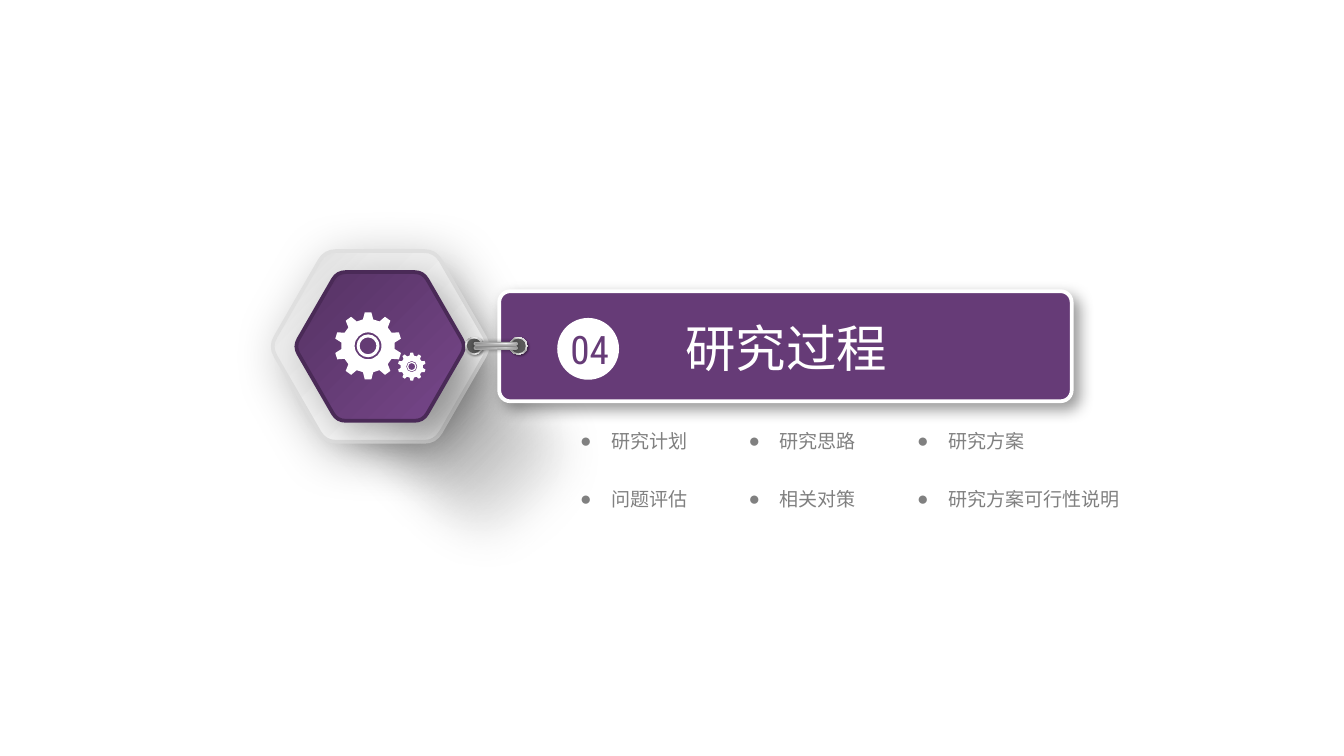
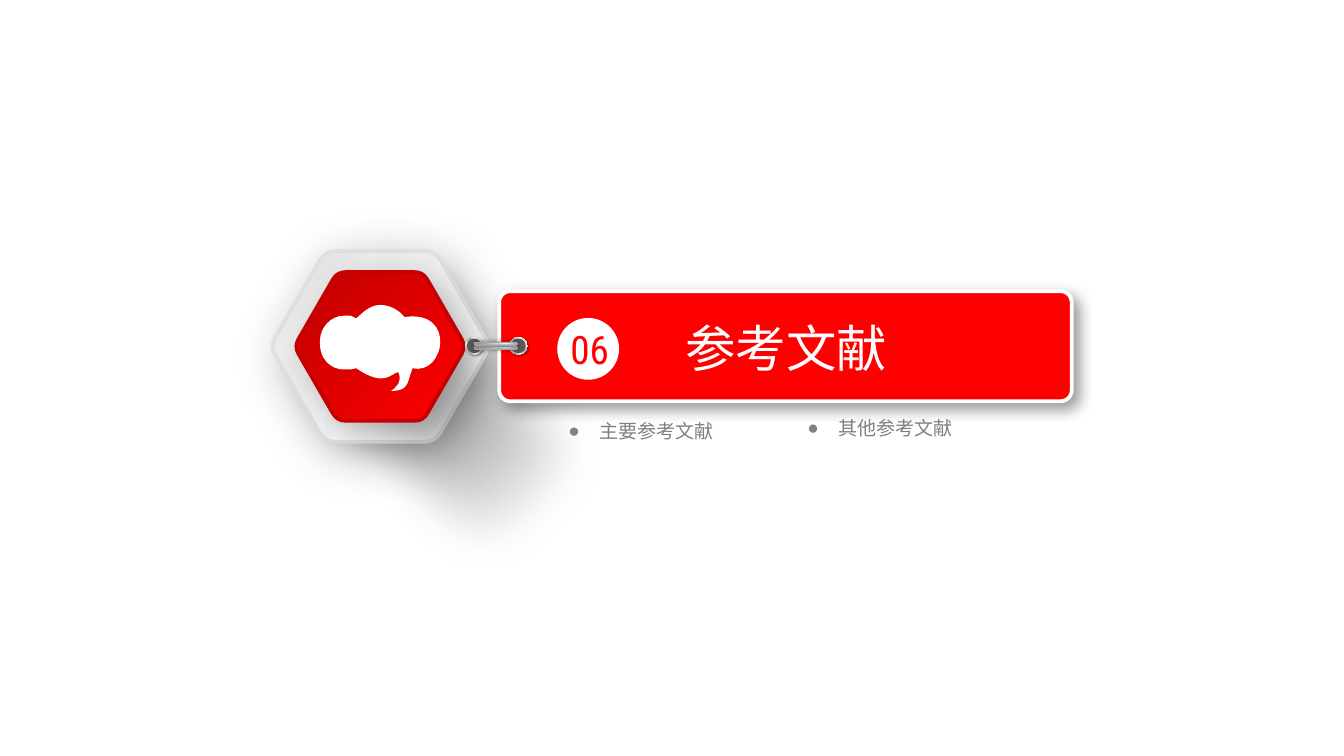
from dataclasses import dataclass
from math import cos, radians, sin

from lxml import etree
from pptx import Presentation
from pptx.dml.color import RGBColor
from pptx.enum import shapes, text
from pptx.oxml import ns
from pptx.util import Pt


@dataclass(frozen=True)
class Theme:
    white: str = "FFFFFF"
    gray: str = "808080"
    hole: str = "595959"
    rim: str = "E0E0E0"
    rod_edge: str = "A6A6A6"
    cjk_font: str = "Noto Sans CJK SC"
    number_font: str = "Roboto Condensed"
    bullet_font: str = "Arial"
    title_size: float = 27
    number_size: float = 21
    item_size: float = 10.2
    # Gradient stops: position in percent, colour, opacity in percent
    cast: tuple = ((0, "000000", 61), (37, "6C6C6C", 50), (100, "D8D8D8", 0))
    plate: tuple = ((0, "FFFFFF", 100), (73, "ECECEC", 100), (100, "D9D9D9", 100))
    ring: tuple = ((0, "FFFFFF", 100), (17, "A6A6A6", 100), (35, "F2F2F2", 100),
                   (55, "A6A6A6", 100), (75, "F2F2F2", 100), (100, "A6A6A6", 100))
    rod: tuple = ((0, "808080", 100), (23, "A6A6A6", 100), (52, "D9D9D9", 100),
                  (74, "FFFFFF", 100), (100, "A6A6A6", 100))


THEME = Theme()

# Each column of items: left, top, texts from top to bottom
SECTIONS = [
    {
        "number": "04", "title": "研究过程", "icon": "gears",
        "accent": "663B77", "edge": "4A2A57",
        "badge": ((0, "77468A", 100), (100, "553363", 100)),
        "columns": [
            (303.8, 226.6, ["研究计划", "问题评估"]),
            (394, 226.6, ["研究思路", "相关对策"]),
            (484.2, 226.6, ["研究方案", "研究方案可行性说明"]),
        ],
    },
    {
        "number": "06", "title": "参考文献", "icon": "cloud",
        "accent": "FF0000", "edge": "C40000",
        "badge": ((0, "FF0000", 100), (100, "C00000", 100)),
        "columns": [
            (297.4, 221, ["主要参考文献"]),
            (425.5, 219.6, ["其他参考文献"]),
        ],
    },
]
ROW_PITCH = 31

HEXAGON_CENTER = (203.6, 185.6)
# Gears: centre x, centre y, outer radius
GEARS = [(197.2, 185.3, 18), (220.6, 196.4, 7.5)]

# An outline is a list of steps: one point for a straight line (and the start),
# or two control points and the end of a curve
CLOUD = [
    [(203.8, 163.4)],
    [(210.2, 163.4), (215.3, 167.8), (216.7, 169.9)],
    [(230.8, 167.8), (236.1, 175.7), (235.9, 183.6)],
    [(235.6, 191.5), (229.6, 199.4), (221, 197.3)],
    [(220.3, 199.4), (219.6, 201.6), (218.9, 203.8)],
    [(218.2, 205.9), (217.4, 209.5), (209.5, 209.5)],
    [(211.7, 208.1), (215.3, 205.2), (213.8, 200.2)],
    [(213.1, 199.4)],
    [(208.8, 200.9), (205.9, 206.6), (193, 198.7)],
    [(190.8, 197.3)],
    [(188.6, 198), (187.2, 198), (185.8, 198)],
    [(184.3, 198)],
    [(177.1, 198), (171.4, 192.2), (171.4, 184.3)],
    [(171.4, 182.9)],
    [(171.4, 175.7), (177.1, 169.2), (184.3, 169.2)],
    [(187.9, 169.2)],
    [(190.8, 170.6)],
    [(193, 169.2), (197.3, 163.4), (203.8, 163.4)],
]


def add_element(parent, tag, **attributes):
    values = {name: str(value) for name, value in attributes.items()}
    return etree.SubElement(parent, ns.qn(tag), values)


def add_color(parent, color, opacity):
    element = add_element(parent, "a:srgbClr", val=color)
    if opacity < 100:
        add_element(element, "a:alpha", val=opacity * 1000)


def style(shape, fill, angle=0, line=None, shadow=None, soft_edge=None):
    """fill: colour or gradient stops; line: (colour, width);
    shadow: (opacity, blur, distance, angle)."""
    if isinstance(fill, str):
        shape.fill.solid()
        shape.fill.fore_color.rgb = RGBColor.from_string(fill)
    else:
        shape.fill.gradient()
        gradient = shape._element.spPr.find(ns.qn("a:gradFill"))
        stops = gradient.find(ns.qn("a:gsLst"))
        for stop in list(stops):
            stops.remove(stop)
        for position, color, opacity in fill:
            add_color(add_element(stops, "a:gs", pos=position * 1000), color, opacity)
        gradient.find(ns.qn("a:lin")).set("ang", str(angle * 60000))
    if line:
        shape.line.color.rgb = RGBColor.from_string(line[0])
        shape.line.width = Pt(line[1])
    else:
        shape.line.fill.background()
    shape.shadow.inherit = False
    effects = shape._element.spPr.find(ns.qn("a:effectLst"))
    if shadow:
        opacity, blur, distance, direction = shadow
        outer = add_element(effects, "a:outerShdw", blurRad=Pt(blur), dist=Pt(distance),
                            dir=direction * 60000, algn="ctr", rotWithShape=0)
        add_color(outer, "000000", opacity)
    if soft_edge:
        add_element(effects, "a:softEdge", rad=Pt(soft_edge))


def add_centered(slide, kind, center, width, height, fill, rounding=None, rotation=0, **look):
    x, y = center
    shape = slide.shapes.add_shape(kind, Pt(x - width / 2), Pt(y - height / 2),
                                   Pt(width), Pt(height))
    if rounding is not None:
        shape.adjustments[0] = rounding
    shape.rotation = rotation
    style(shape, fill, **look)


def bend_curves(shape, steps):
    """Turn the three segments drawn for each curve step into one Bézier curve."""
    lines = shape._element.spPr.iter(ns.qn("a:lnTo"))
    lines = iter(list(lines))
    for step in steps:
        segments = [next(lines) for _ in step]
        if len(segments) == 3:
            curve = etree.Element(ns.qn("a:cubicBezTo"))
            segments[0].addprevious(curve)
            for segment in segments:
                curve.append(segment[0])
                segment.getparent().remove(segment)


def add_outline(slide, contours, fill, rotation=0, **look):
    """Add one freeform of closed contours; inner contours become holes."""
    builder = None
    for contour in contours:
        points = [(Pt(x), Pt(y)) for step in contour for x, y in step]
        if builder is None:
            builder = slide.shapes.build_freeform(*points[0])
        else:
            builder.move_to(*points[0])
        builder.add_line_segments(points[1:], close=True)
    shape = builder.convert_to_shape()
    bend_curves(shape, [step for contour in contours for step in contour[1:]])
    shape.rotation = rotation
    style(shape, fill, **look)


def polar(center, radius, degrees):
    return (center[0] + radius * cos(radians(degrees)),
            center[1] + radius * sin(radians(degrees)))


def between(start, end, share):
    return tuple(a + share * (b - a) for a, b in zip(start, end))


def circle(center, radius):
    steps = [[polar(center, radius, 0)]]
    reach = radius * 1.1413  # distance of the control points of a quarter arc
    for turn in range(0, 360, 90):
        steps.append([polar(center, reach, turn + 28.9), polar(center, reach, turn + 61.1),
                      polar(center, radius, turn + 90)])
    return steps


def rounded_hexagon(center, radius, cut=0.1):
    corners = [polar(center, radius, 60 * i) for i in range(6)]
    steps = []
    for i, corner in enumerate(corners):
        start = between(corner, corners[i - 1], cut)
        end = between(corner, corners[(i + 1) % 6], cut)
        steps += [[start], [between(start, corner, 2 / 3), between(end, corner, 2 / 3), end]]
    return steps


def gear(center, radius, teeth=10):
    profile = [(-11, 0.8), (-5.7, 1), (5.7, 1), (11, 0.8)]
    return [[polar(center, radius * share, 360 / teeth * (i + 0.5) + turn)]
            for i in range(teeth) for turn, share in profile]


def add_gears(slide):
    for x, y, radius in reversed(GEARS):
        center = (x, y)
        add_outline(slide, [gear(center, radius), circle(center, radius * 0.4)], THEME.white)
        add_outline(slide, [circle(center, radius * 0.34), circle(center, radius * 0.25)],
                    THEME.white)


def add_cloud(slide):
    add_outline(slide, [CLOUD], THEME.white)


ICONS = {"gears": add_gears, "cloud": add_cloud}


def add_badge(slide, section):
    pill = shapes.MSO_SHAPE.ROUNDED_RECTANGLE
    add_centered(slide, pill, (238.7, 220.7), 203.8, 140.4, THEME.cast,
                 rounding=0.5, rotation=46, soft_edge=23)
    add_outline(slide, [rounded_hexagon(HEXAGON_CENTER, 59)], THEME.plate, rotation=180,
                angle=45, line=(THEME.rim, 2), shadow=(28, 28, 7, 45))
    add_centered(slide, pill, (235.6, 217.8), 172.8, 113, THEME.cast,
                 rounding=0.5, rotation=46, soft_edge=23)
    add_outline(slide, [rounded_hexagon(HEXAGON_CENTER, 46)], section["badge"], rotation=180,
                angle=45, line=(section["edge"], 2), shadow=(25, 20, 9, 45))


def add_banner(slide, section):
    rounded, oval = shapes.MSO_SHAPE.ROUNDED_RECTANGLE, shapes.MSO_SHAPE.OVAL
    add_centered(slide, rounded, (420.8, 185.5), 306.7, 59, section["accent"], rounding=0.1,
                 line=(THEME.white, 2), shadow=(40, 8, 4, 45))
    for x in (277.7, 254):
        add_centered(slide, oval, (x, 185.3), 9.4, 9.4, THEME.ring, angle=315,
                     shadow=(40, 1, 1, 45))
        add_centered(slide, oval, (x, 185.3), 7.9, 7.9, THEME.hole)
    for y in (186.4, 184.2):
        add_centered(slide, rounded, (265.6, y), 23, 1.4, THEME.rod, rounding=0.5,
                     line=(THEME.rod_edge, 0.75), shadow=(40, 2, 0, 0))
    add_centered(slide, oval, (315.1, 186.9), 33.1, 33.1, THEME.white)


def write(shape, words, font_name, size, color, bullet=None):
    frame = shape.text_frame
    frame.word_wrap = True
    frame.auto_size = text.MSO_AUTO_SIZE.NONE
    frame.vertical_anchor = text.MSO_ANCHOR.MIDDLE
    frame.margin_left = Pt(7.2) if bullet else 0
    frame.margin_right = frame.margin_top = frame.margin_bottom = 0
    paragraph = frame.paragraphs[0]
    paragraph.text = words
    paragraph.alignment = text.PP_ALIGN.LEFT if bullet else text.PP_ALIGN.CENTER
    if bullet:
        properties = paragraph._p.get_or_add_pPr()
        properties.set("marL", str(Pt(16.6)))
        properties.set("indent", str(Pt(-16.6)))
        add_element(properties, "a:buFont", typeface=THEME.bullet_font)
        add_element(properties, "a:buChar", char=bullet)
    font = paragraph.font
    font.name, font.size = font_name, Pt(size)
    font.color.rgb = RGBColor.from_string(color)
    add_element(font._element, "a:ea", typeface=font_name)


def add_texts(slide, section):
    number = slide.shapes.add_textbox(Pt(295.2), Pt(170.6), Pt(41.4), Pt(32.2))
    write(number, section["number"], THEME.number_font, THEME.number_size, section["accent"])

    title = slide.shapes.title
    title.left, title.top, title.width, title.height = Pt(317.5), Pt(165.8), Pt(207.4), Pt(40.3)
    write(title, section["title"], THEME.cjk_font, THEME.title_size, THEME.white)
    slide.shapes._spTree.append(title._element)  # bring in front of the banner

    for left, top, items in section["columns"]:
        for row, item in enumerate(items):
            box = slide.shapes.add_textbox(Pt(left), Pt(top + row * ROW_PITCH),
                                           Pt(32 + THEME.item_size * len(item)), Pt(19.4))
            write(box, item, THEME.cjk_font, THEME.item_size, THEME.gray, bullet="●")


def main():
    presentation = Presentation()
    presentation.slide_width, presentation.slide_height = Pt(720), Pt(405)
    title_only = presentation.slide_layouts[5]
    for section in SECTIONS:
        slide = presentation.slides.add_slide(title_only)
        add_badge(slide, section)
        add_banner(slide, section)
        ICONS[section["icon"]](slide)
        add_texts(slide, section)
    presentation.save("out.pptx")


if __name__ == "__main__":
    main()
